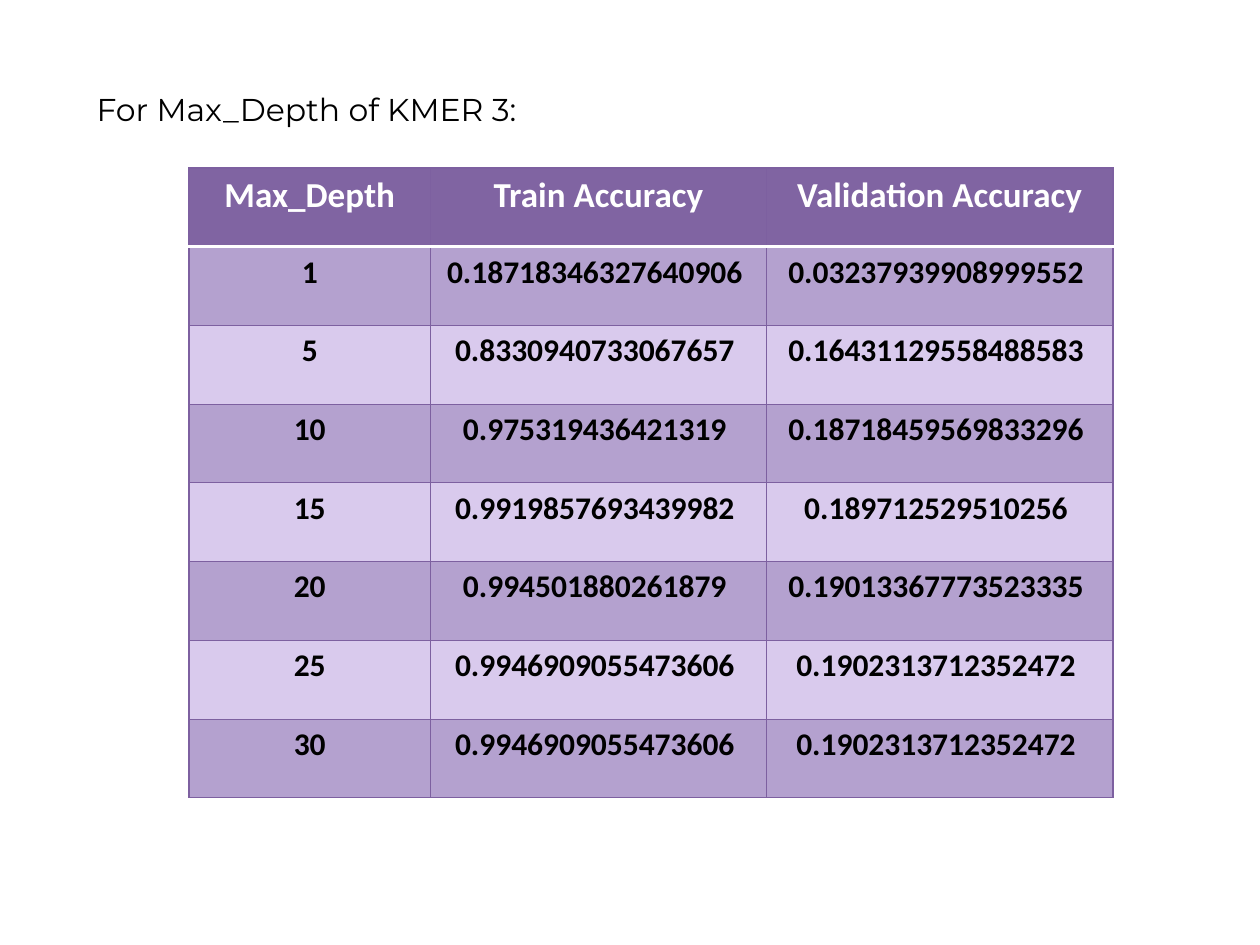
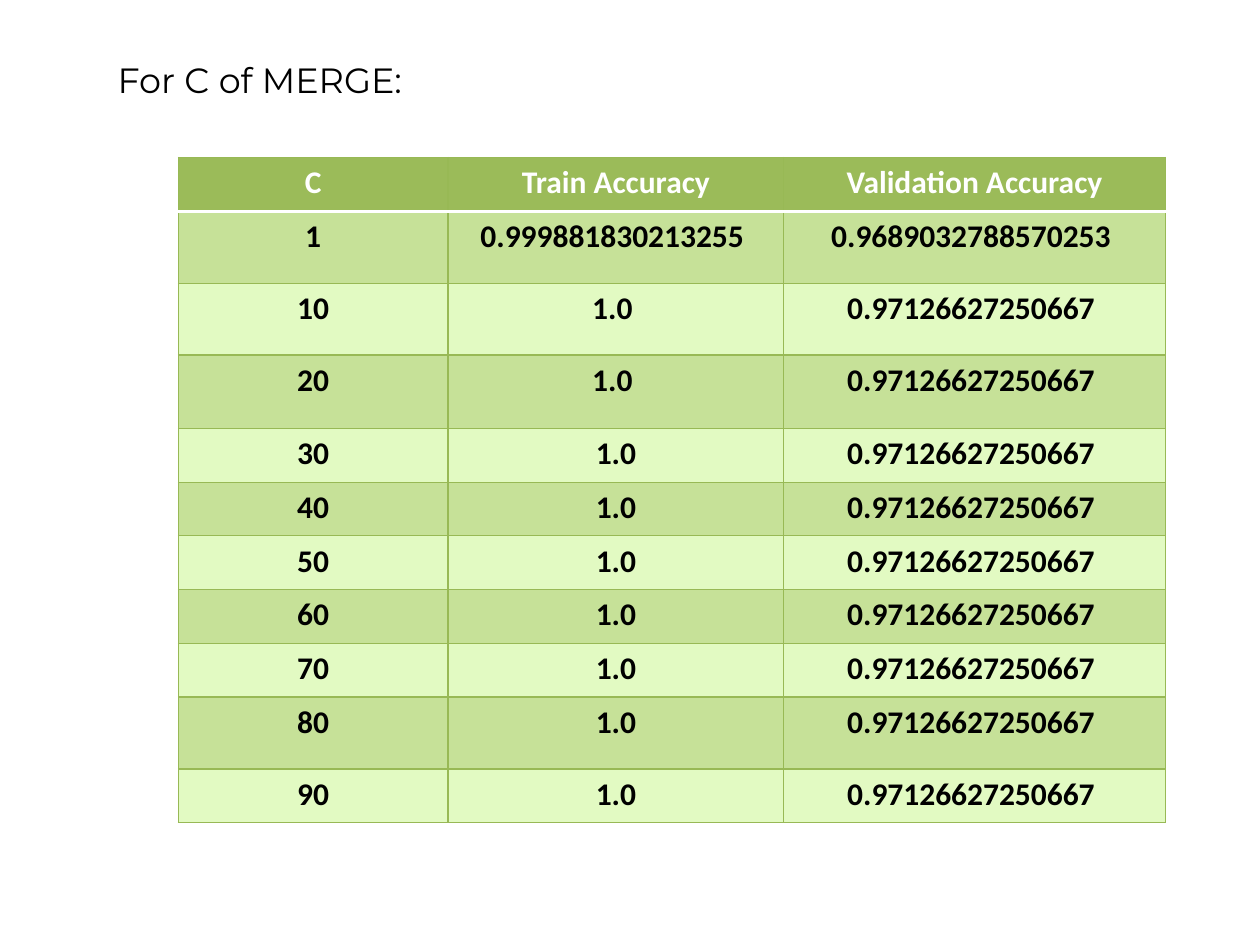
"""Builds two slides of accuracy tables, each with a short heading."""
from dataclasses import dataclass

from lxml.etree import SubElement
from pptx import Presentation
from pptx.dml.color import RGBColor
from pptx.enum.text import MSO_ANCHOR, MSO_AUTO_SIZE, PP_ALIGN
from pptx.oxml.ns import qn
from pptx.util import Pt

BLACK = RGBColor(0x00, 0x00, 0x00)
WHITE = RGBColor(0xFF, 0xFF, 0xFF)
PURPLE = RGBColor(0x80, 0x64, 0xA2)
PURPLE_LINE = RGBColor(0x7D, 0x60, 0xA0)
PURPLE_BAND = RGBColor(0xB4, 0xA1, 0xCF)
PURPLE_LIGHT = RGBColor(0xD9, 0xCA, 0xED)
GREEN = RGBColor(0x9B, 0xBB, 0x59)
GREEN_LINE = RGBColor(0x98, 0xB9, 0x55)
GREEN_BAND = RGBColor(0xC6, 0xE1, 0x98)
GREEN_LIGHT = RGBColor(0xE2, 0xFA, 0xC2)

TITLE_FONT = "Montserrat"
TABLE_FONT = "Calibri"
TITLE_ONLY_LAYOUT = 5


@dataclass
class TableColors:
    """Colours of one banded table."""
    header: RGBColor
    line: RGBColor
    band: RGBColor
    light: RGBColor


PURPLE_TABLE = TableColors(PURPLE, PURPLE_LINE, PURPLE_BAND, PURPLE_LIGHT)
GREEN_TABLE = TableColors(GREEN, GREEN_LINE, GREEN_BAND, GREEN_LIGHT)


class Deck:
    """Holds the shared style and the current slide."""

    def __init__(self):
        self.presentation = Presentation()
        self.presentation.slide_width = Pt(720)
        self.presentation.slide_height = Pt(540)
        self.slide = None

    def add_slide(self):
        """Start a new slide with a title placeholder."""
        layout = self.presentation.slide_layouts[TITLE_ONLY_LAYOUT]
        self.slide = self.presentation.slides.add_slide(layout)

    def title(self, text, left, top, width, height, size):
        """Place and format the slide title."""
        shape = self.slide.shapes.title
        shape.left, shape.top = Pt(left), Pt(top)
        shape.width, shape.height = Pt(width), Pt(height)
        frame = shape.text_frame
        frame.text = text
        frame.word_wrap = False
        frame.auto_size = MSO_AUTO_SIZE.SHAPE_TO_FIT_TEXT
        frame.vertical_anchor = MSO_ANCHOR.TOP
        paragraph = frame.paragraphs[0]
        paragraph.alignment = PP_ALIGN.LEFT
        self.style_font(paragraph, TITLE_FONT, size, BLACK)

    def style_font(self, paragraph, name, size, color, bold=False):
        """Set the font of a whole paragraph."""
        font = paragraph.font
        font.name, font.size, font.bold = name, Pt(size), bold
        font.color.rgb = color

    def border(self, cell, side, color, width):
        """Draw one border of a cell."""
        properties = cell._tc.get_or_add_tcPr()
        line = SubElement(properties, qn(f"a:ln{side}"), w=str(Pt(width)))
        fill = SubElement(line, qn("a:solidFill"))
        SubElement(fill, qn("a:srgbClr"), val=str(color))

    def cell(self, cell, text, row, colors, size):
        """Fill, frame and label one table cell."""
        header_edge = {0: "B", 1: "T"}.get(row)
        for side in "LRTB":
            if side == header_edge:
                self.border(cell, side, WHITE, 2)
            else:
                self.border(cell, side, colors.line, 0.75)
        cell.fill.solid()
        if row == 0:
            cell.fill.fore_color.rgb = colors.header
        else:
            cell.fill.fore_color.rgb = colors.band if row % 2 else colors.light
        cell.text = text
        paragraph = cell.text_frame.paragraphs[0]
        paragraph.alignment = PP_ALIGN.CENTER
        self.style_font(paragraph, TABLE_FONT, size, BLACK if row else WHITE, True)

    def table(self, rows, left, top, widths, heights, colors, header_size):
        """Add a banded table with a header row."""
        frame = self.slide.shapes.add_table(
            len(rows), len(widths), Pt(left), Pt(top), Pt(sum(widths)), Pt(sum(heights)))
        table = frame.table
        for column, width in zip(table.columns, widths):
            column.width = Pt(width)
        for index, (values, height) in enumerate(zip(rows, heights)):
            table.rows[index].height = Pt(height)
            for column, text in enumerate(values):
                self.cell(table.cell(index, column), text, index, colors,
                          18 if index else header_size)


DEPTH_ROWS = [
    ("Max_Depth", "Train Accuracy", "Validation Accuracy"),
    ("1", "0.18718346327640906 ", "0.03237939908999552 "),
    ("5", "0.8330940733067657 ", "0.16431129558488583 "),
    ("10", "0.975319436421319 ", "0.18718459569833296 "),
    ("15", "0.9919857693439982 ", "0.189712529510256 "),
    ("20", "0.994501880261879 ", "0.19013367773523335 "),
    ("25", "0.9946909055473606 ", "0.1902313712352472 "),
    ("30", "0.9946909055473606 ", "0.1902313712352472 "),
]
MERGE_ROWS = [
    ("C", "Train Accuracy", "Validation Accuracy"),
    ("1", "0.999881830213255 ", "0.9689032788570253 "),
    *((str(c), "1.0 " if c <= 20 else "1.0", "0.97126627250667 ")
      for c in range(10, 100, 10)),
]
SHORT_ROW, TALL_ROW = 30.7, 41.1
MERGE_HEIGHTS = [SHORT_ROW, TALL_ROW, TALL_ROW, 42, *[SHORT_ROW] * 5, TALL_ROW, SHORT_ROW]

deck = Deck()

deck.add_slide()
deck.title("For Max_Depth of KMER 3:", 48, 48, 277, 29, 18)
deck.table(DEPTH_ROWS, 108, 96, [138, 192, 198], [45] * len(DEPTH_ROWS), PURPLE_TABLE, 20)

deck.add_slide()
deck.title("For C of MERGE:", 60, 30, 204, 31.5, 20)
deck.table(MERGE_ROWS, 102, 90, [154, 192, 218], MERGE_HEIGHTS, GREEN_TABLE, 18)

deck.presentation.save("out.pptx")
